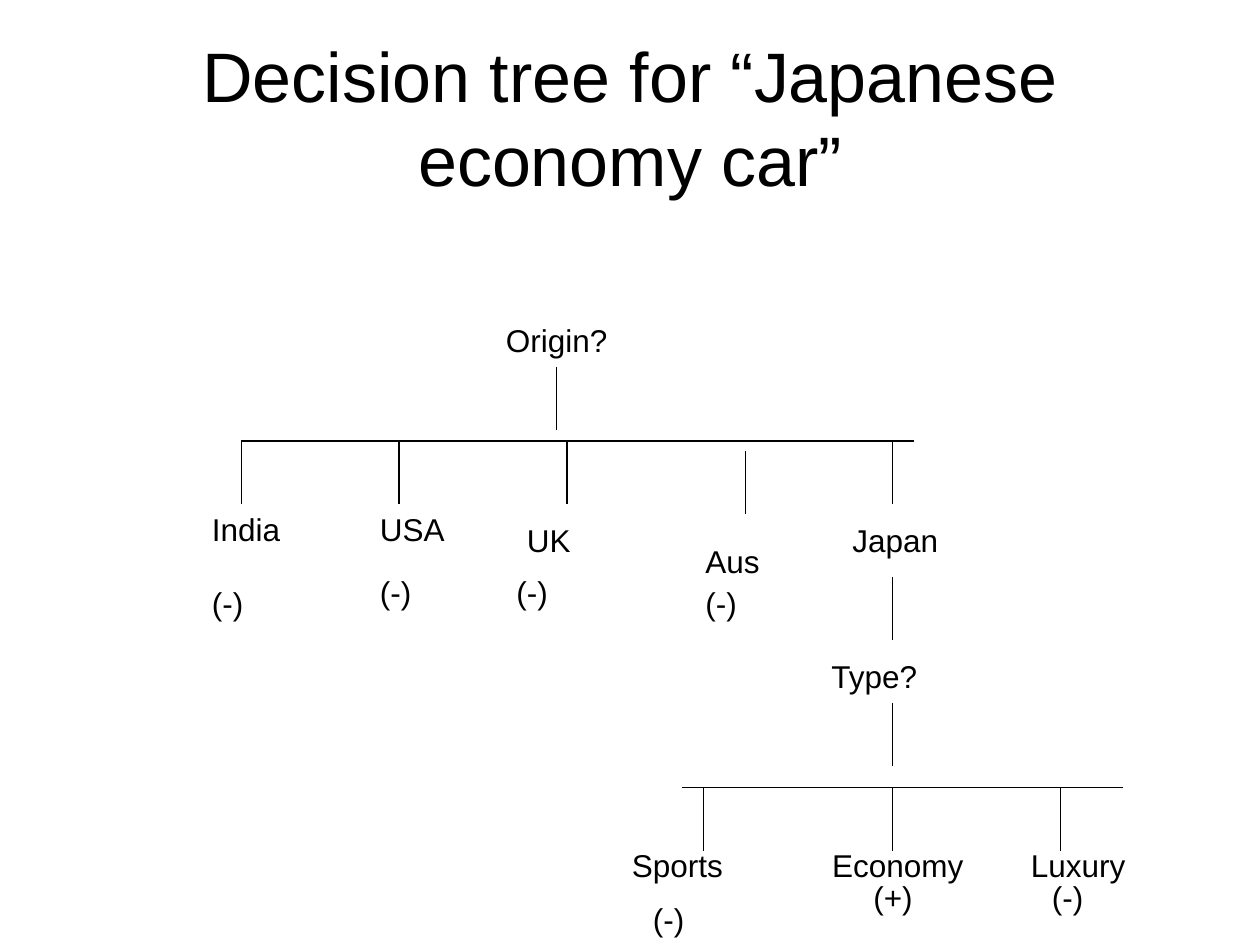
from pptx import Presentation
from pptx.dml.color import RGBColor
from pptx.enum.shapes import MSO_CONNECTOR
from pptx.enum.text import MSO_ANCHOR, MSO_AUTO_SIZE, PP_ALIGN
from pptx.oxml.ns import qn
from pptx.util import Pt
from lxml import etree

LEFT, CENTER = PP_ALIGN.LEFT, PP_ALIGN.CENTER
MIDDLE = MSO_ANCHOR.MIDDLE
NO_FIT, GROW = MSO_AUTO_SIZE.NONE, MSO_AUTO_SIZE.SHAPE_TO_FIT_TEXT
STRAIGHT = MSO_CONNECTOR.STRAIGHT
COLORS = {"ink": "000000"}
DROP = 36
SIGN_WIDTH = 42

ORIGINS = [
    ("India", 114, 288, 84, "(-)", 114, 330),
    ("USA", 210, 288, 60, "(-)", 210, 324),
    ("UK", 294, 294, 60, "(-)", 288, 324),
    ("Aus", 396, 306, 90, "(-)", 396, 330),
]
TYPES = [
    ("Sports", 354, 480, 132, "(-)", 366, 511),
    ("Economy", 456, 480, 114, "(+)", 492, 498),
    ("Luxury", 582, 480, 90, "(-)", 594, 498),
]
STEMS = [(318, 210), (510, 330), (510, 402)]
ORIGIN_DROPS = [(138, 252), (228, 252), (324, 252), (426, 258), (510, 252)]
TYPE_DROPS = [(x, 450) for x in (402, 510, 606)]
BARS = [(138, 522, 252), (390, 642, 450)]


class TreeSlide:
    """Hold the style and the slide on which the decision tree is drawn."""

    def __init__(self, prs):
        self.font = "Arial"
        self.ink = RGBColor.from_string(COLORS["ink"])
        self.s = prs.slides.add_slide(prs.slide_layouts[5])

    def set_text(self, tf, text, size, align):
        tf.text = text
        p = tf.paragraphs[0]
        p.alignment = align
        for r in p.runs:
            r.font.name = self.font
            r.font.size = Pt(size)
            r.font.color.rgb = self.ink

    def title(self, text, x, y, w, h):
        sp = self.s.shapes.title
        sp.left, sp.top, sp.width, sp.height = Pt(x), Pt(y), Pt(w), Pt(h)
        tf = sp.text_frame
        tf.auto_size = NO_FIT
        tf.vertical_anchor = MIDDLE
        self.set_text(tf, text, 40, CENTER)

    def label(self, text, x, y, w, align=LEFT):
        sp = self.s.shapes.add_textbox(Pt(x), Pt(y), Pt(w), Pt(29))
        tf = sp.text_frame
        tf.word_wrap = True
        tf.auto_size = GROW
        self.set_text(tf, text, 18, align)

    def leaf(self, name, x, y, w, sign, sign_x, sign_y, align=LEFT):
        self.label(name, x, y, w, align)
        self.label(sign, sign_x, sign_y, SIGN_WIDTH)

    def line(self, x1, y1, x2, y2):
        sp = self.s.shapes.add_connector(STRAIGHT, Pt(x1), Pt(y1), Pt(x2), Pt(y2))
        sp.line.color.rgb = self.ink
        sp.line.width = Pt(0.75)
        etree.SubElement(sp._element.spPr, qn("a:effectLst"))


def main():
    prs = Presentation()
    prs.slide_width, prs.slide_height = Pt(720), Pt(540)
    tree = TreeSlide(prs)
    tree.title("Decision tree for “Japanese economy car”", 36, 21.6, 648, 90)

    for x1, x2, y in BARS:
        tree.line(x1, y, x2, y)
    for x, y in STEMS + ORIGIN_DROPS + TYPE_DROPS:
        tree.line(x, y, x, y + DROP)

    tree.label("Origin?", 282, 180, 102)
    tree.label("Japan", 480, 294, 144)
    tree.label("Type?", 468, 372, 108)
    for leaf in ORIGINS + TYPES:
        tree.leaf(*leaf, align=CENTER if leaf[0] == "Economy" else LEFT)

    prs.save("out.pptx")


if __name__ == "__main__":
    main()
